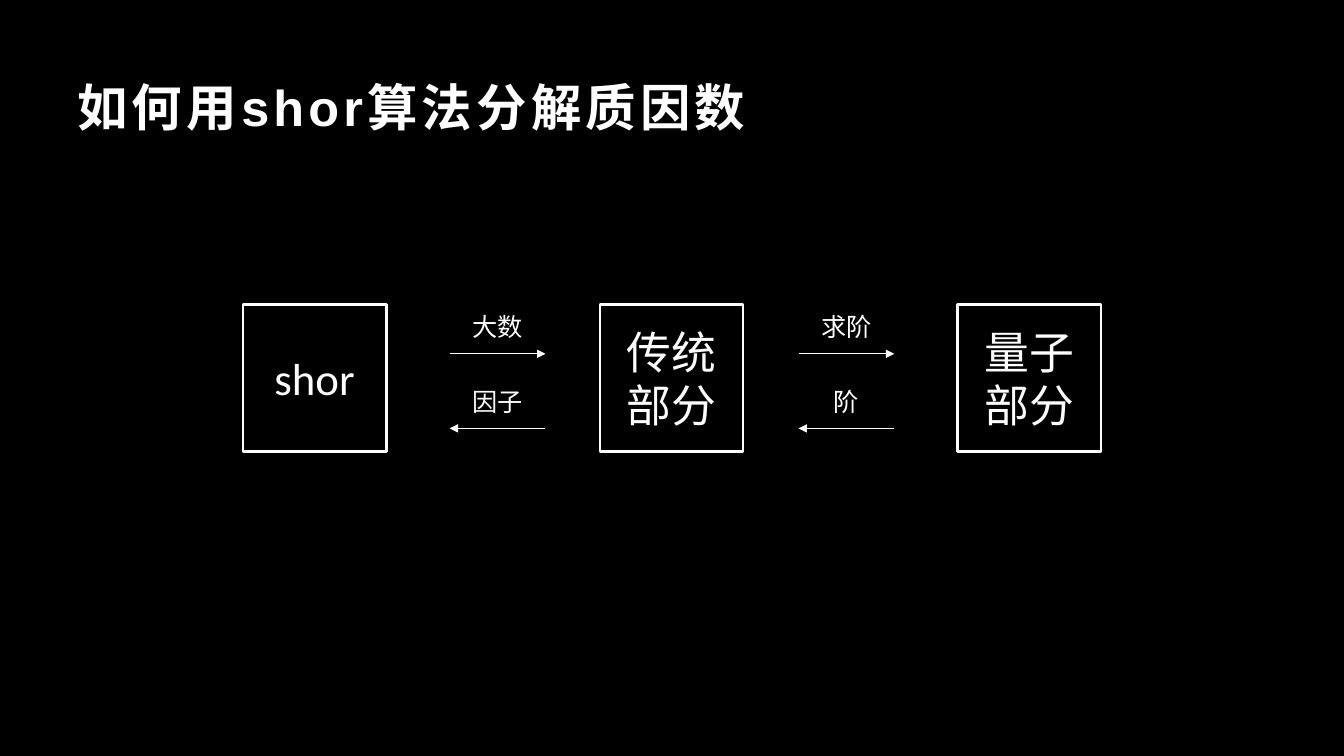
import pptx
import pptx.util
import pptx.dml.color
import pptx.enum.shapes
import pptx.enum.text
import pptx.oxml.ns
import lxml.etree

Inches = pptx.util.Inches
Pt = pptx.util.Pt
Align = pptx.enum.text.PP_ALIGN
Anchor = pptx.enum.text.MSO_ANCHOR
qn = pptx.oxml.ns.qn

BLACK = pptx.dml.color.RGBColor(0, 0, 0)
WHITE = pptx.dml.color.RGBColor(255, 255, 255)

# Shared measures of the flow row
TOP = 3.02
BOX_W, BOX_H = 1.42, 1.46
ARROW_W = 0.95
LABEL_W, LABEL_H = 0.71, 0.4


def add_text(slide, text, box, size, align=Align.CENTER, font="Calibri"):
    shape = slide.shapes.add_textbox(*map(Inches, box))
    frame = shape.text_frame
    frame.word_wrap = True
    frame.vertical_anchor = Anchor.MIDDLE
    para = frame.paragraphs[0]
    para.text = text
    para.alignment = align
    para.font.name = font
    para.font.size = Pt(size)
    para.font.color.rgb = WHITE
    return para


def add_title(slide, text, box):
    para = add_text(slide, text, box, 36, Align.LEFT, "Arial")
    para.font.bold = True
    # Letter spacing of 3 points
    para.runs[0].font._element.set("spc", "300")


def add_stage(slide, text, left, lines):
    # Outlined square
    kind = pptx.enum.shapes.MSO_SHAPE.RECTANGLE
    box = map(Inches, (left, TOP, BOX_W, BOX_H))
    frame = slide.shapes.add_shape(kind, *box)
    frame.shadow.inherit = False
    frame.fill.background()
    frame.line.color.rgb = WHITE
    frame.line.width = Pt(2)
    # Caption centred in the square
    wide, high = 1.12, 0.1 + 0.54 * lines
    add_text(slide, text, (left + (BOX_W - wide) / 2,
                           TOP + (BOX_H - high) / 2, wide, high), 32)


def add_arrow(slide, start, end, y):
    kind = pptx.enum.shapes.MSO_CONNECTOR.STRAIGHT
    arrow = slide.shapes.add_connector(
        kind, Inches(start), Inches(y), Inches(end), Inches(y))
    arrow.line.color.rgb = WHITE
    arrow.line.width = Pt(0.75)
    lxml.etree.SubElement(arrow.line._get_or_add_ln(), qn("a:tailEnd"),
                          type="triangle")
    lxml.etree.SubElement(arrow._element.spPr, qn("a:effectLst"))


def add_swap(slide, left, there, back):
    right = left + ARROW_W
    rows = ((there, left, right, 3.51), (back, right, left, 4.25))
    for text, start, end, y in rows:
        add_arrow(slide, start, end, y)
        add_text(slide, text, (left + (ARROW_W - LABEL_W) / 2, y - 0.47,
                               LABEL_W, LABEL_H), 18)


def main():
    deck = pptx.Presentation()
    deck.slide_width = Inches(13.33)
    deck.slide_height = Inches(7.5)
    slide = deck.slides.add_slide(deck.slide_layouts[6])
    slide.background.fill.solid()
    slide.background.fill.fore_color.rgb = BLACK

    add_title(slide, "如何用shor算法分解质因数", (0.67, 0.67, 12, 0.77))

    # Stages, left to right
    for text, left, lines in (("shor", 2.41, 1), ("传统部分", 5.95, 2),
                              ("量子部分", 9.5, 2)):
        add_stage(slide, text, left, lines)

    # Exchanges between neighbouring stages
    add_swap(slide, 4.46, "大数", "因子")
    add_swap(slide, 7.92, "求阶", "阶")

    deck.save("out.pptx")


if __name__ == "__main__":
    main()
